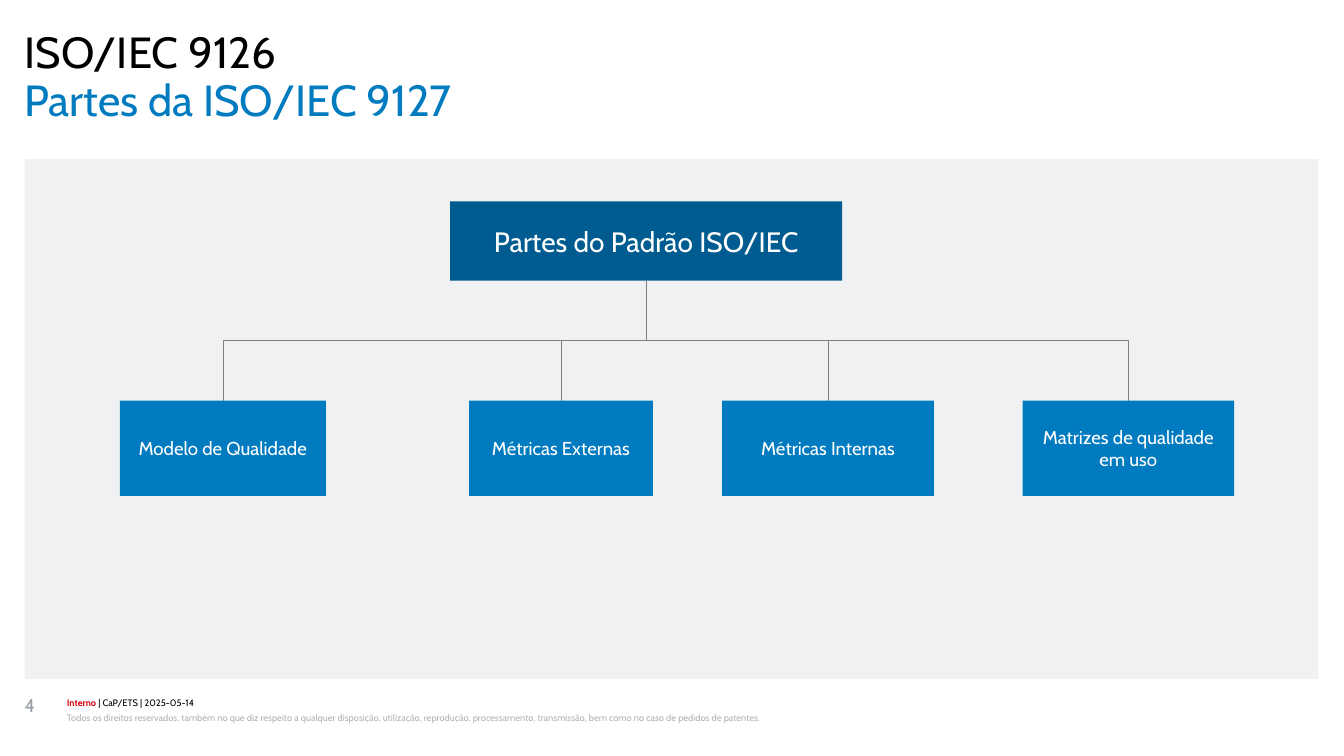
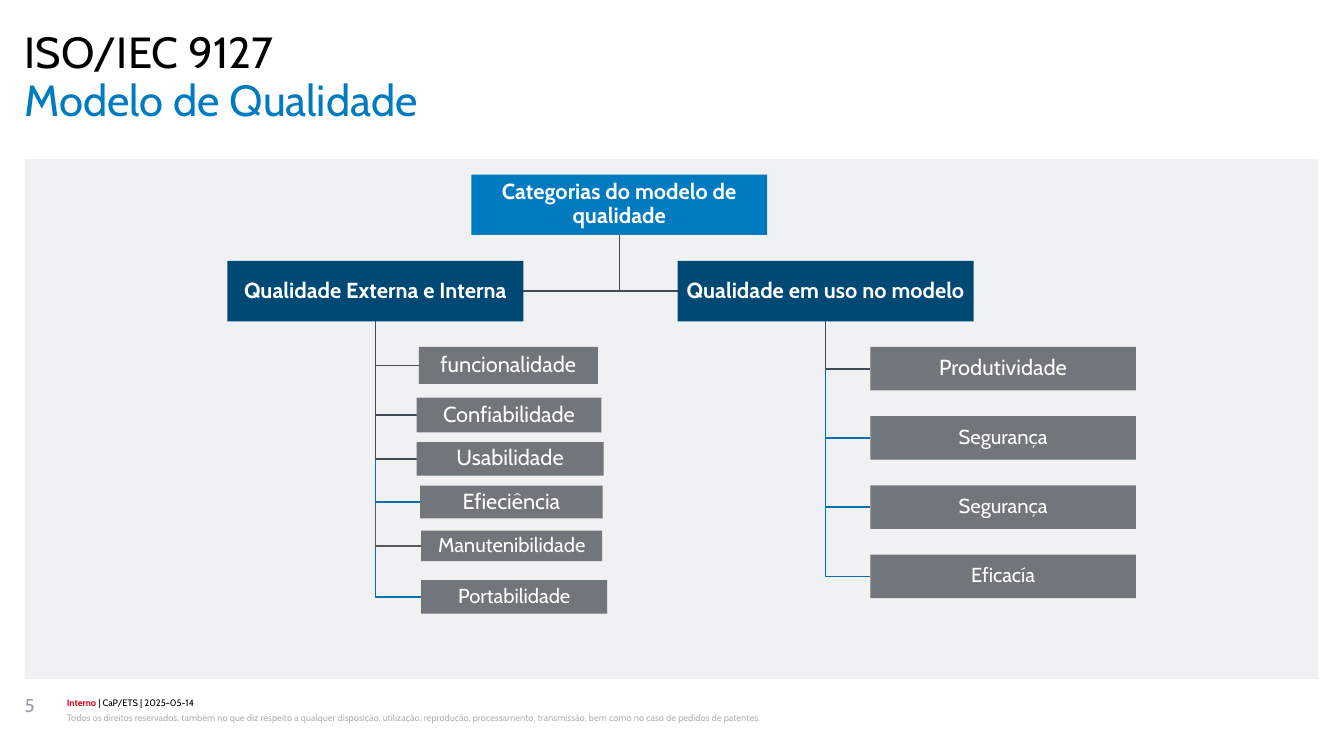
from dataclasses import dataclass

from lxml import etree
from pptx import Presentation
from pptx.dml.color import RGBColor
from pptx.enum import shapes, text
from pptx.oxml import ns
from pptx.util import Cm, Pt

FONT = "Cabin"
BLACK = RGBColor(0x00, 0x00, 0x00)
WHITE = RGBColor(0xFF, 0xFF, 0xFF)
BLUE = RGBColor(0x00, 0x7B, 0xC0)
DARK_BLUE = RGBColor(0x00, 0x5C, 0x90)
NAVY = RGBColor(0x00, 0x49, 0x75)
LINE_BLUE = RGBColor(0x00, 0x70, 0xAE)
SLATE = RGBColor(0x42, 0x4C, 0x58)
CHARCOAL = RGBColor(0x59, 0x59, 0x59)
GRAY = RGBColor(0x71, 0x76, 0x7C)
LINE_GRAY = RGBColor(0x80, 0x80, 0x80)
NUMBER_GRAY = RGBColor(0x99, 0x9F, 0xA6)
LEGAL_GRAY = RGBColor(0xB2, 0xB3, 0xB5)
PANEL_GRAY = RGBColor(0xEF, 0xF1, 0xF2)
RED = RGBColor(0xD7, 0x00, 0x12)

MARGIN = 0.56
CONTENT_WIDTH = 29.34
LEGAL_NOTICE = (
    "Todos os direitos reservados, também no que diz respeito a qualquer disposição, "
    "utilização, reprodução, processamento, transmissão, bem como no caso de pedidos de patentes."
)


@dataclass(frozen=True)
class Box:
    label: str
    left: float
    top: float
    width: float
    height: float
    fill: RGBColor
    size: float = 14
    bold: bool = False
    branch: RGBColor = SLATE

    @property
    def center(self) -> float:
        return self.left + self.width / 2

    @property
    def middle(self) -> float:
        return self.top + self.height / 2

    @property
    def bottom(self) -> float:
        return self.top + self.height


STANDARD = Box("Partes do Padrão ISO/IEC", 10.21, 4.57, 8.89, 1.8, DARK_BLUE, 18)
PARTS = [
    Box(label, left, 9.09, width, 2.16, BLUE, 12)
    for label, left, width in (
        ("Modelo de Qualidade", 2.72, 4.67),
        ("Métricas Externas", 10.64, 4.17),
        ("Métricas Internas", 16.38, 4.8),
        ("Matrizes de qualidade em uso", 23.19, 4.8),
    )
]

CATEGORIES = Box("Categorias do modelo de qualidade", 10.69, 3.96, 6.71, 1.37, BLUE, bold=True)
PRODUCT_QUALITY = Box("Qualidade Externa e Interna", 5.16, 5.92, 6.71, 1.37, NAVY, bold=True)
QUALITY_IN_USE = Box("Qualidade em uso no modelo", 15.37, 5.92, 6.71, 1.37, NAVY, bold=True)
PRODUCT_TRAITS = [
    Box("funcionalidade", 9.5, 7.87, 4.06, 0.84, GRAY),
    Box("Confiabilidade", 9.45, 9.02, 4.19, 0.79, GRAY),
    Box("Usabilidade", 9.45, 10.03, 4.24, 0.76, GRAY),
    Box("Efieciência", 9.53, 11.02, 4.14, 0.74, GRAY, branch=LINE_BLUE),
    Box("Manutenibilidade", 9.55, 12.04, 4.11, 0.69, GRAY, 13, branch=CHARCOAL),
    Box("Portabilidade", 9.55, 13.16, 4.22, 0.76, GRAY, 13, branch=LINE_BLUE),
]
USE_TRAITS = [
    Box(label, 19.74, 7.87 + 1.57 * row, 6.02, 0.99, GRAY, size, branch=branch)
    for row, (label, size, branch) in enumerate((
        ("Produtividade", 14, SLATE),
        ("Segurança", 13, LINE_BLUE),
        ("Segurança", 13, LINE_BLUE),
        ("Eficacía", 13, LINE_BLUE),
    ))
]


def set_font(font, size: float, color: RGBColor, bold: bool = False) -> None:
    font.name = FONT
    font.size = Pt(size)
    font.bold = bold
    font.color.rgb = color


def set_insets(frame, horizontal: float, vertical: float) -> None:
    frame.word_wrap = True
    frame.margin_left = frame.margin_right = Cm(horizontal)
    frame.margin_top = frame.margin_bottom = Cm(vertical)


def place(shape, left: float, top: float, width: float, height: float) -> None:
    shape.left, shape.top = Cm(left), Cm(top)
    shape.width, shape.height = Cm(width), Cm(height)


def fill_heading(placeholder, label: str, top: float, color: RGBColor) -> None:
    place(placeholder, MARGIN, top, CONTENT_WIDTH, 1.09)
    frame = placeholder.text_frame
    frame.text = label
    frame.auto_size = text.MSO_AUTO_SIZE.NONE
    frame.vertical_anchor = text.MSO_ANCHOR.TOP
    set_insets(frame, 0, 0)
    paragraph = frame.paragraphs[0]
    paragraph.alignment = text.PP_ALIGN.LEFT
    paragraph.line_spacing = 0.89
    paragraph.space_before = Pt(0)
    set_font(paragraph.font, 28, color)
    properties = paragraph._p.get_or_add_pPr()
    properties.set("marL", "0")
    properties.set("indent", "0")
    no_bullet = etree.Element(ns.qn("a:buNone"))
    properties.find(ns.qn("a:defRPr")).addprevious(no_bullet)


def add_text(slide, left: float, top: float, width: float, height: float,
             line_spacing: float, runs: list, size: float) -> None:
    shape = slide.shapes.add_textbox(Cm(left), Cm(top), Cm(width), Cm(height))
    set_insets(shape.text_frame, 0, 0)
    paragraph = shape.text_frame.paragraphs[0]
    paragraph.line_spacing = line_spacing
    for label, color, bold in runs:
        run = paragraph.add_run()
        run.text = label
        set_font(run.font, size, color, bold)


def add_rectangle(slide, left: float, top: float, width: float, height: float, fill: RGBColor):
    shape = slide.shapes.add_shape(
        shapes.MSO_SHAPE.RECTANGLE, Cm(left), Cm(top), Cm(width), Cm(height))
    shape.shadow.inherit = False
    shape.fill.solid()
    shape.fill.fore_color.rgb = fill
    shape.line.fill.background()
    return shape


def add_box(slide, box: Box, horizontal: float, vertical: float, line_spacing: float) -> None:
    shape = add_rectangle(slide, box.left, box.top, box.width, box.height, box.fill)
    frame = shape.text_frame
    frame.text = box.label
    frame.vertical_anchor = text.MSO_ANCHOR.MIDDLE
    set_insets(frame, horizontal, vertical)
    paragraph = frame.paragraphs[0]
    paragraph.alignment = text.PP_ALIGN.CENTER
    paragraph.line_spacing = line_spacing
    set_font(paragraph.font, box.size, WHITE, box.bold)


def add_elbow(slide, parent: Box, child: Box) -> None:
    drop = child.top - parent.bottom
    shift = child.center - parent.center
    center = (parent.center + child.center) / 2
    middle = (parent.bottom + child.top) / 2
    connector = slide.shapes.add_connector(
        shapes.MSO_CONNECTOR.ELBOW,
        Cm(center - drop / 2), Cm(middle + shift / 2),
        Cm(center + drop / 2), Cm(middle - shift / 2))
    connector.line.color.rgb = LINE_GRAY
    connector.line.width = Pt(0.5)
    properties = connector._element.spPr
    properties.find(ns.qn("a:xfrm")).set("rot", "5400000")
    etree.SubElement(properties, ns.qn("a:effectLst"))


def add_branch(slide, parent: Box, child: Box) -> None:
    edge = child.left if child.center > parent.center else child.left + child.width
    builder = slide.shapes.build_freeform(Cm(parent.center), Cm(parent.bottom))
    builder.add_line_segments(
        [(Cm(parent.center), Cm(child.middle)), (Cm(edge), Cm(child.middle))], close=False)
    shape = builder.convert_to_shape()
    shape.shadow.inherit = False
    shape.fill.background()
    shape.line.color.rgb = child.branch
    shape.line.width = Pt(1)


def add_base_slide(presentation, number: int, heading: str, title: str):
    slide = presentation.slides.add_slide(presentation.slide_layouts[1])
    fill_heading(slide.shapes.title, title, 1.8, BLUE)
    fill_heading(slide.placeholders[1], heading, 0.71, BLACK)
    add_rectangle(slide, MARGIN, 3.61, CONTENT_WIDTH, 11.79, PANEL_GRAY)
    add_text(slide, 1.52, 15.8, 25.35, 0.3, 1.07,
             [("Interno", RED, True), (" | CaP/ETS | 2025-05-14", BLACK, False)], 6)
    add_text(slide, 1.52, 16.1, 25.35, 0.61, 1.2, [(LEGAL_NOTICE, LEGAL_GRAY, False)], 6)
    add_text(slide, MARGIN, 15.75, 0.81, 1.14, 1, [(str(number), NUMBER_GRAY, False)], 12)
    return slide


def add_parts_slide(presentation) -> None:
    slide = add_base_slide(presentation, 4, "ISO/IEC 9126", "Partes da ISO/IEC 9127")
    for box in [STANDARD, *PARTS]:
        add_box(slide, box, 0.25, 0.13, 1)
    for part in PARTS:
        add_elbow(slide, STANDARD, part)


def add_model_slide(presentation) -> None:
    slide = add_base_slide(presentation, 5, "ISO/IEC 9127", "Modelo de Qualidade")
    groups = [
        (QUALITY_IN_USE, USE_TRAITS),
        (CATEGORIES, [PRODUCT_QUALITY, QUALITY_IN_USE]),
        (PRODUCT_QUALITY, PRODUCT_TRAITS),
    ]
    for parent, children in groups:
        for child in reversed(children):
            add_branch(slide, parent, child)
    for box in [CATEGORIES, PRODUCT_QUALITY, *PRODUCT_TRAITS, QUALITY_IN_USE, *USE_TRAITS]:
        add_box(slide, box, 0.1, 0.1, 0.9)


def main() -> None:
    presentation = Presentation()
    presentation.slide_width = Cm(30.48)
    presentation.slide_height = Cm(17.15)
    add_parts_slide(presentation)
    add_model_slide(presentation)
    presentation.save("out.pptx")


if __name__ == "__main__":
    main()
